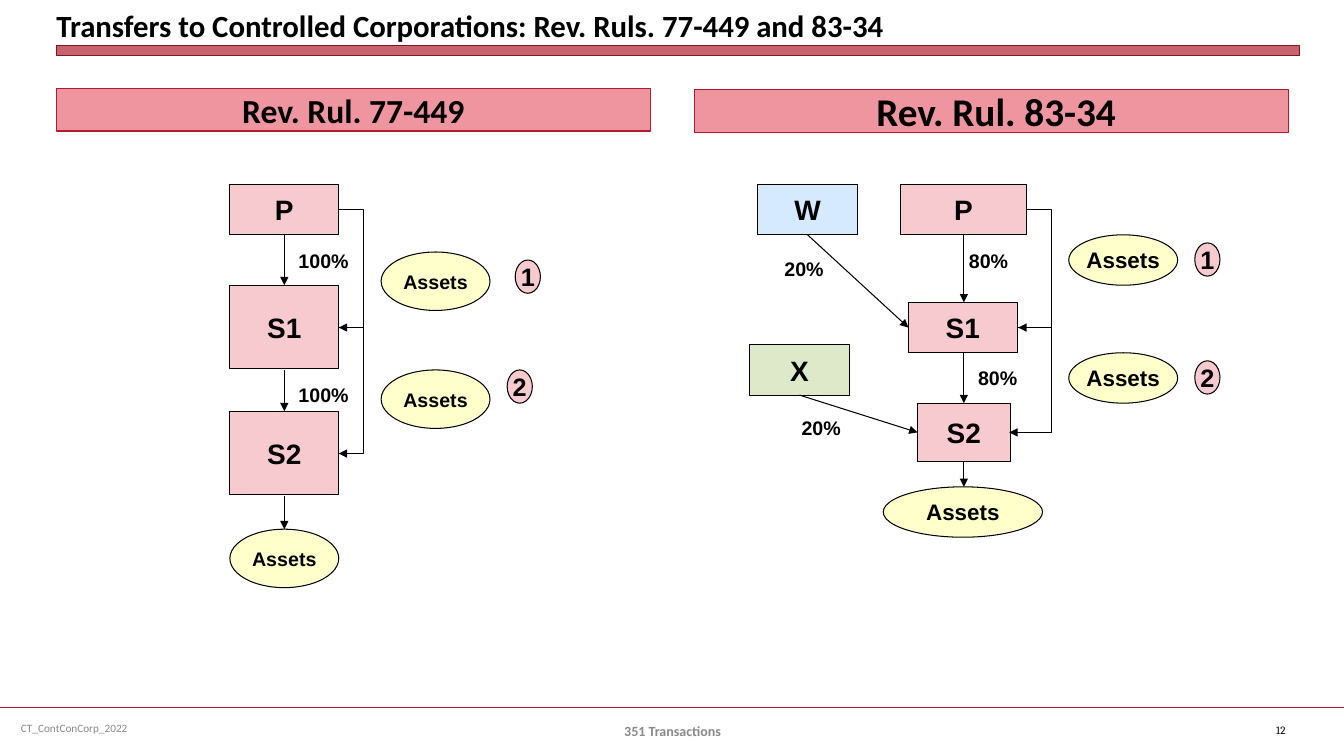
from pptx import Presentation
from pptx.dml.color import RGBColor
from pptx.enum.shapes import MSO_CONNECTOR as CONN, MSO_SHAPE as SHAPE
from pptx.enum.text import MSO_ANCHOR as ANCHOR, PP_ALIGN as ALIGN
from pptx.oxml.ns import qn
from pptx.util import Inches, Pt
from lxml.etree import SubElement

PINK, YELLOW, BLUE, GREEN = "F7CAD0", "FFFFCC", "D6EAFF", "DEE9C9"
RED, BANNER, BLACK, GREY = "B01C2E", "EE95A0", "000000", "898989"


def rgb(color):
    """Turn a hex string into a colour."""
    return RGBColor.from_string(color)


def write(sp, text, size, font="Arial", color=BLACK, bold=True,
          align=ALIGN.CENTER, anchor=ANCHOR.MIDDLE, wrap=False):
    """Set and format the single paragraph of a shape."""
    tf = sp.text_frame
    tf.text = text
    tf.word_wrap = wrap
    tf.vertical_anchor = anchor
    p = tf.paragraphs[0]
    p.alignment = align
    f = p.runs[0].font
    f.size, f.name, f.bold = Pt(size), font, bold
    f.color.rgb = rgb(color)


def add_text(slide, box, text, size, **style):
    """Add a text box."""
    sp = slide.shapes.add_textbox(*map(Inches, box))
    write(sp, text, size, **style)
    return sp


def add_box(slide, kind, box, fill, line=BLACK, width=0.75):
    """Add a filled and outlined preset shape."""
    sp = slide.shapes.add_shape(kind, *map(Inches, box))
    sp.shadow.inherit = False
    sp.fill.solid()
    sp.fill.fore_color.rgb = rgb(fill)
    sp.line.color.rgb = rgb(line)
    sp.line.width = Pt(width)
    return sp


def add_entity(slide, box, text, fill=PINK):
    """Add a corporation or shareholder box."""
    write(add_box(slide, SHAPE.RECTANGLE, box, fill), text, 20)


def add_assets(slide, box, size):
    """Add an oval of assets."""
    write(add_box(slide, SHAPE.OVAL, box, YELLOW), "Assets", size)


def add_step(slide, left, top, number):
    """Add a numbered step marker."""
    sp = add_box(slide, SHAPE.OVAL, (left, top, 0.25, 0.33), PINK)
    write(sp, number, 18)


def add_percent(slide, left, top, text):
    """Add an ownership percentage."""
    width = 0.7 if len(text) == 4 else 0.59
    add_text(slide, (left, top, width, 0.33), text, 14)


def add_line(slide, start, end, kind=CONN.STRAIGHT, color=BLACK, width=0.75):
    """Add a connector without shadow."""
    c = slide.shapes.add_connector(kind, *map(Inches, (*start, *end)))
    c.line.color.rgb = rgb(color)
    c.line.width = Pt(width)
    SubElement(c._element.spPr, qn("a:effectLst"))
    return c


def add_arrow(slide, start, end, kind=CONN.STRAIGHT):
    """Add a connector that ends in a triangle."""
    c = add_line(slide, start, end, kind)
    SubElement(c.line._get_or_add_ln(), qn("a:tailEnd"), type="triangle")
    return c


def add_transfer(slide, start, end, bend):
    """Add an elbow arrow whose upright runs at the x of bend."""
    c = add_arrow(slide, start, end, CONN.ELBOW)
    adj = round((bend - start[0]) / (end[0] - start[0]) * 100000)
    geom = c._element.spPr.find(qn("a:prstGeom"))
    guides = geom.find(qn("a:avLst"))
    if guides is None:
        guides = SubElement(geom, qn("a:avLst"))
    SubElement(guides, qn("a:gd"), name="adj1", fmla=f"val {adj}")


def add_frame(slide):
    """Add title, title bar and footer."""
    sp = add_text(slide, (0.56, 0, 12.33, 0.43),
                  "Transfers to Controlled Corporations: Rev. Ruls. 77-449 and 83-34",
                  22, font="Calibri", align=ALIGN.LEFT, anchor=ANCHOR.BOTTOM, wrap=True)
    tf = sp.text_frame
    tf.margin_left = tf.margin_right = tf.margin_top = tf.margin_bottom = 0
    bar = add_box(slide, SHAPE.RECTANGLE, (0.56, 0.45, 12.33, 0.1), RED, "821522", 0)
    color = bar.fill._xPr.find(qn("a:solidFill"))[0]
    SubElement(color, qn("a:alpha"), val="69000")
    add_line(slide, (0, 7.02), (13.33, 7.02), color=RED, width=1.25)
    add_text(slide, (0.11, 7.02, 3.44, 0.4), "CT_ContConCorp_2022", 8, font="Calibri",
             color=GREY, bold=False, align=ALIGN.LEFT, wrap=True)
    add_text(slide, (4.56, 7.05, 4.22, 0.4), "351 Transactions", 10, font="Calibri",
             color=GREY, wrap=True)
    add_text(slide, (12.56, 7.04, 0.67, 0.4), "12", 8, font="Cambria",
             bold=False, align=ALIGN.LEFT, wrap=True)


def add_banner(slide, left, top, text, size):
    """Add the heading of one ruling."""
    sp = add_box(slide, SHAPE.RECTANGLE, (left, top, 5.89, 0.42), BANNER, RED)
    write(sp, text, size, font="Calibri", wrap=True)


def add_first_ruling(slide):
    """Draw the wholly owned chain."""
    add_banner(slide, 0.56, 0.88, "Rev. Rul. 77-449", 24)
    for name, top, height in (("P", 1.83, 0.5), ("S1", 2.83, 0.83), ("S2", 4.08, 0.83)):
        add_entity(slide, (2.28, top, 1.08, height), name)
    for left, top in ((2.28, 5.25), (3.78, 2.5), (3.78, 3.67)):
        add_assets(slide, (left, top, 1.08, 0.58), 14)
    for start, end in ((2.33, 2.83), (3.67, 4.08), (4.92, 5.25)):
        add_arrow(slide, (2.82, start), (2.82, end))
    for start, end in ((2.08, 3.25), (3.25, 4.5)):
        add_transfer(slide, (3.35, start), (3.36, end), 3.61)
    for top in (2.42, 3.75):
        add_percent(slide, 2.86, top, "100%")
    add_step(slide, 5.11, 2.58, "1")
    add_step(slide, 5.03, 3.67, "2")


def add_second_ruling(slide):
    """Draw the chain with minority shareholders."""
    add_banner(slide, 6.89, 0.89, " Rev. Rul. 83-34", 28)
    add_entity(slide, (7.51, 1.83, 1, 0.5), "W", BLUE)
    add_entity(slide, (7.43, 3.42, 1, 0.5), "X", GREEN)
    add_entity(slide, (8.93, 1.83, 1.25, 0.5), "P")
    add_entity(slide, (9.01, 3, 1.08, 0.5), "S1")
    add_entity(slide, (9.1, 4, 0.92, 0.58), "S2")
    add_assets(slide, (8.76, 4.83, 1.58, 0.5), 16)
    for number, top in (("1", 2.33), ("2", 3.5)):
        add_assets(slide, (10.6, top, 1.08, 0.5), 16)
        add_step(slide, 11.85, top + 0.08, number)
    for start, end in ((2.33, 3), (3.5, 4), (4.58, 4.83)):
        add_arrow(slide, (9.56, start), (9.56, end))
    add_arrow(slide, (8.01, 2.33), (9.01, 3.25))
    add_arrow(slide, (7.93, 3.92), (9.1, 4.29))
    add_transfer(slide, (10.18, 2.08), (10.1, 3.25), 10.43)
    add_transfer(slide, (10.1, 3.25), (10.01, 4.29), 10.43)
    for left, top, text in ((7.68, 2.5, "20%"), (7.85, 4.08, "20%"),
                            (9.51, 2.42, "80%"), (9.6, 3.58, "80%")):
        add_percent(slide, left, top, text)


def main():
    """Build and save the slide."""
    prs = Presentation()
    prs.slide_width, prs.slide_height = Inches(13.33), Inches(7.5)
    slide = prs.slides.add_slide(prs.slide_layouts[6])
    add_frame(slide)
    add_first_ruling(slide)
    add_second_ruling(slide)
    prs.save("out.pptx")


main()
